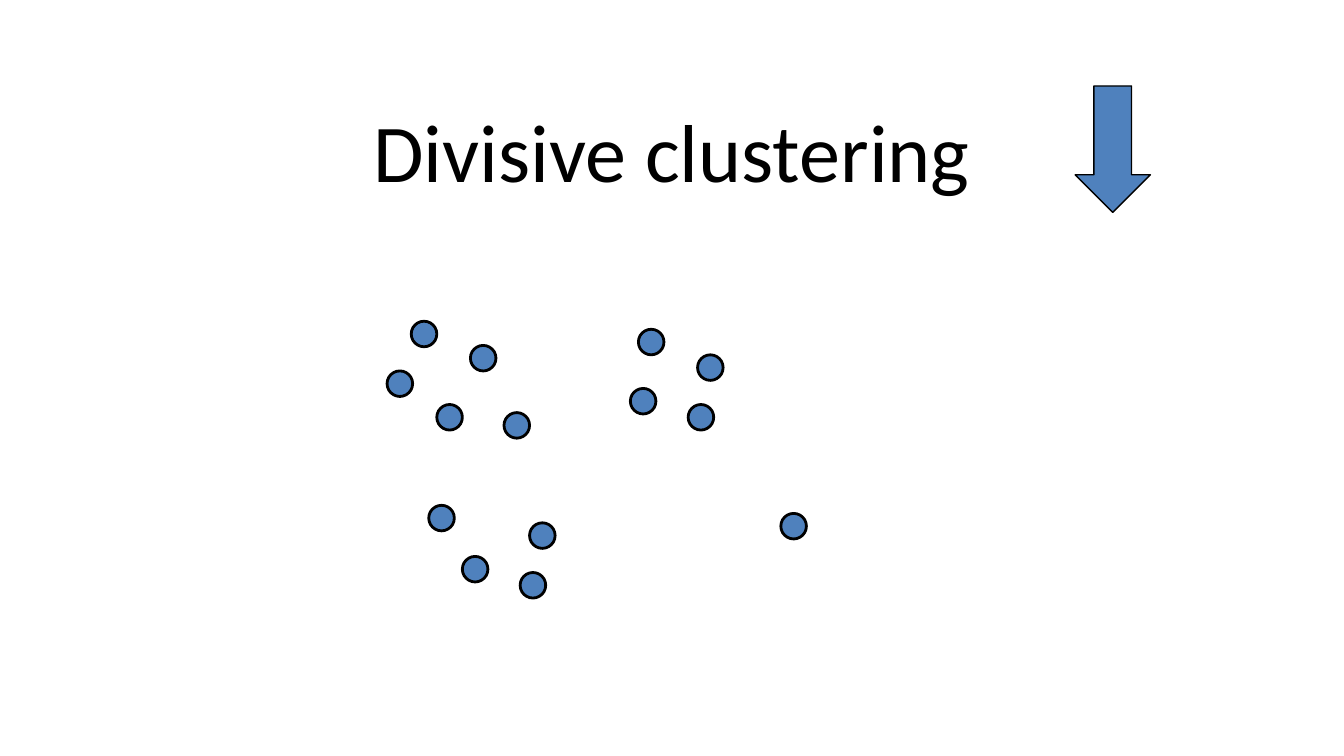
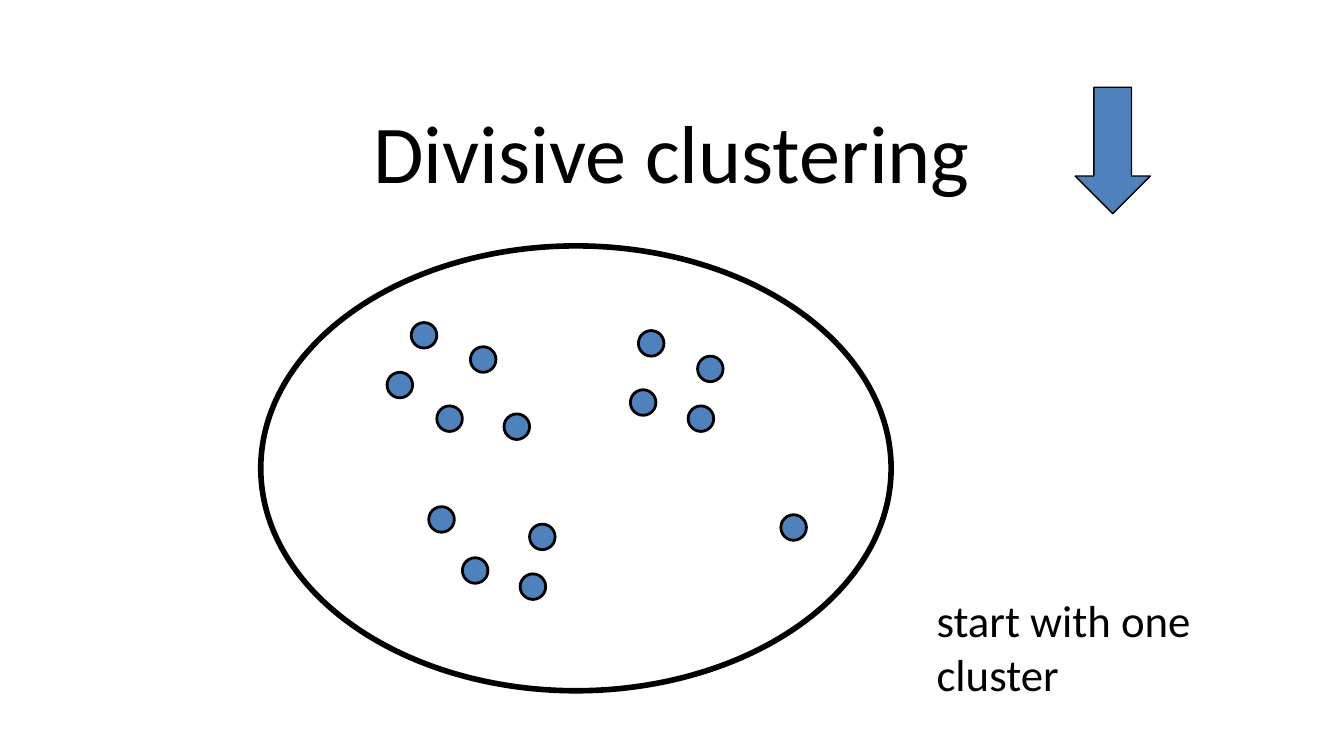
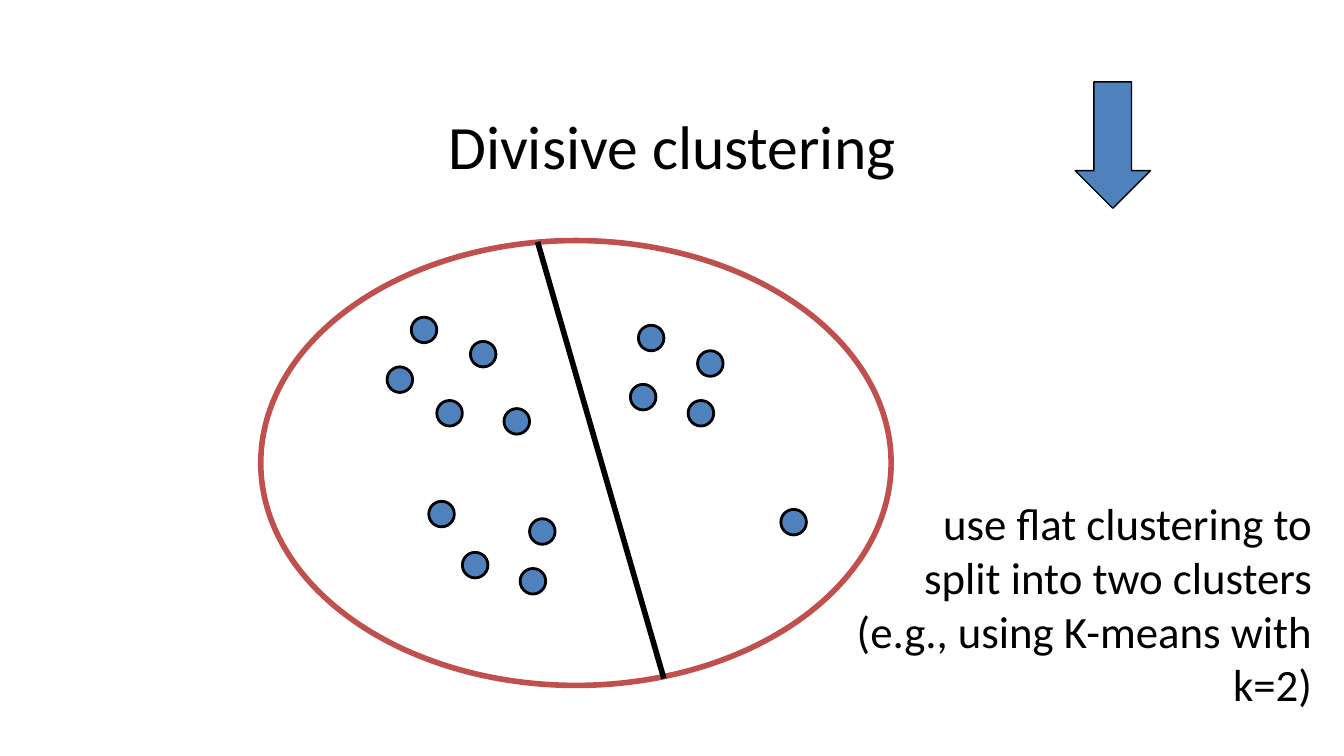
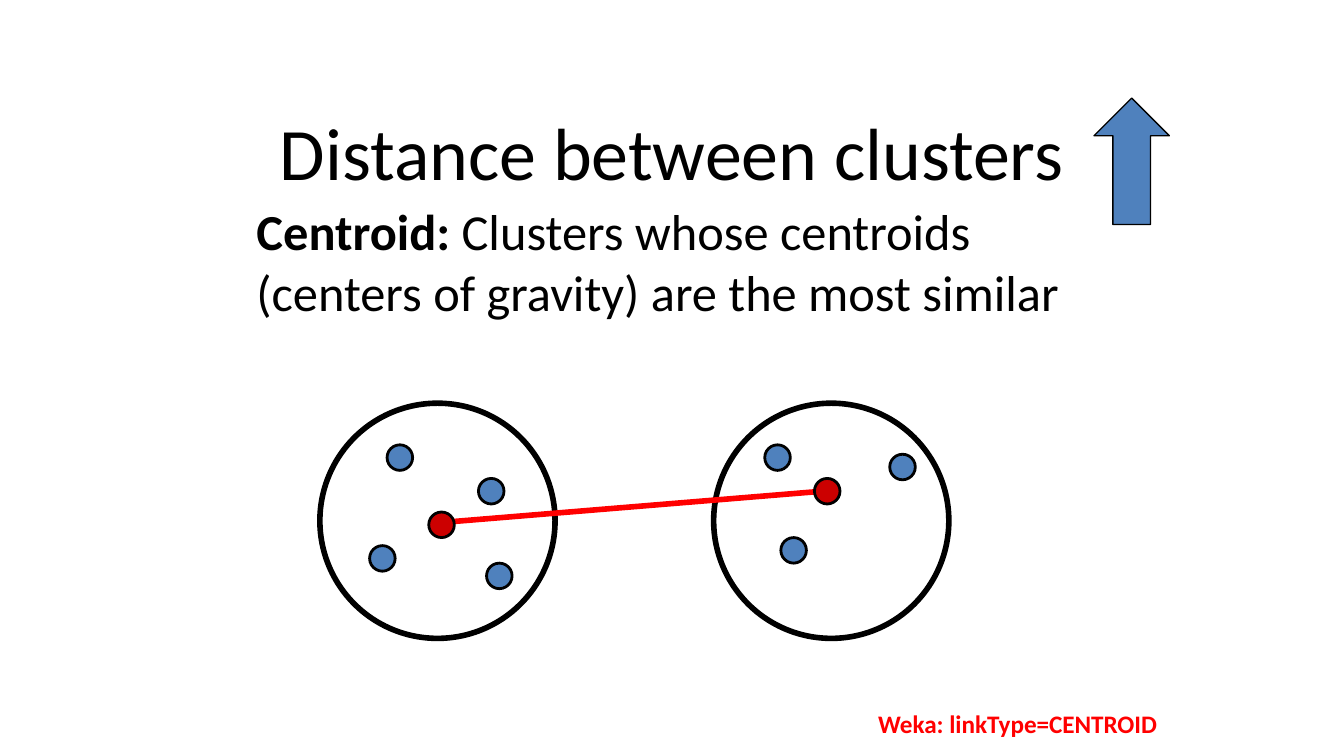
from lxml import etree
from pptx import Presentation
from pptx.dml.color import RGBColor
from pptx.enum.shapes import MSO_CONNECTOR, MSO_SHAPE
from pptx.enum.text import MSO_ANCHOR, PP_ALIGN
from pptx.oxml.ns import qn
from pptx.util import Pt

PX = 9144
WIDTH = 1000
FONT = "Calibri"
BLACK = RGBColor(0x00, 0x00, 0x00)
BLUE = RGBColor(0x4F, 0x81, 0xBD)
BRICK = RGBColor(0xC0, 0x50, 0x4D)
RED = RGBColor(0xFF, 0x00, 0x00)
CRIMSON = RGBColor(0xCC, 0x00, 0x00)
OVAL, ARROW = MSO_SHAPE.OVAL, MSO_SHAPE.DOWN_ARROW
STRAIGHT = MSO_CONNECTOR.STRAIGHT
LEFT, MID, RIGHT = PP_ALIGN.LEFT, PP_ALIGN.CENTER, PP_ALIGN.RIGHT
TOP, CENTER = MSO_ANCHOR.TOP, MSO_ANCHOR.MIDDLE

DOT = 19
POINTS = [
    (306, 239), (288, 276), (325, 301), (350, 257), (375, 307),
    (469, 289), (475, 245), (519, 264), (512, 301), (581, 382),
    (344, 414), (319, 376), (394, 389), (387, 426),
]
SPLITS = [
    {"shift": 0, "size": 44},
    {"shift": 1, "size": 44, "ring": BLACK,
     "note": ("start with one cluster", (687, 436, 212, 91), LEFT)},
    {"shift": -3, "size": 33, "ring": BRICK, "cut": ((400, 180), (494, 505)),
     "note": ("use flat clustering to\nsplit into two clusters "
              "(e.g., using K-means with k=2)", (605, 364, 381, 172), RIGHT)},
]
MEMBERS = [(288, 331), (275, 406), (362, 419), (356, 356),
           (581, 400), (569, 331), (662, 338)]
RINGS = [(238, 300, 175, 175), (531, 300, 175, 175)]
MEANS = [(319, 381), (606, 356)]
LINK = ((338, 388), (606, 366))


def scale(nums):
    return [n * PX for n in nums]


def shape(slide, kind, box, fill, line, width):
    item = slide.shapes.add_shape(kind, *scale(box))
    item.shadow.inherit = False
    if fill is None:
        item.fill.background()
    else:
        item.fill.solid()
        item.fill.fore_color.rgb = fill
    item.line.color.rgb = line
    item.line.width = Pt(width)
    return item


def dots(slide, spots, fill=BLUE, shift=0):
    for x, y in spots:
        shape(slide, OVAL, (x, y + shift, DOT, DOT), fill, BLACK, 1.5)


def ring(slide, box, color=BLACK):
    shape(slide, OVAL, box, None, color, 3)


def arrow(slide, x, y):
    return shape(slide, ARROW, (x, y, 56, 94), BLUE, BLACK, 0.75)


def line(slide, ends, color):
    item = slide.shapes.add_connector(STRAIGHT, *scale(ends[0] + ends[1]))
    item.line.color.rgb = color
    item.line.width = Pt(3)
    etree.SubElement(item._element.spPr, qn("a:effectLst"))


def text(slide, words, box, size, align=LEFT, color=BLACK, bold=None, anchor=TOP):
    frame = slide.shapes.add_textbox(*scale(box)).text_frame
    frame.word_wrap = True
    frame.vertical_anchor = anchor
    para = frame.paragraphs[0]
    para.text = words
    para.alignment = align
    font = para.font
    font.name, font.size, font.bold = FONT, Pt(size), bold
    font.color.rgb = color
    return para


def title(slide, words, box, size):
    text(slide, words, box, size, MID, anchor=CENTER)


def split(slide, plan):
    shift = plan["shift"]
    title(slide, "Divisive clustering", (181, 64 + shift, 638, 94), plan["size"])
    dots(slide, POINTS, shift=shift)
    if "ring" in plan:
        ring(slide, (194, 182 + shift, 469, 331), plan["ring"])
    if "cut" in plan:
        line(slide, plan["cut"], BLACK)
    if "note" in plan:
        words, box, align = plan["note"]
        text(slide, words, box, 24, align)
    arrow(slide, 800, 64 + shift)


def measure(slide):
    title(slide, "Distance between clusters", (50, 77, 900, 70), 39.6)
    para = text(slide, "Centroid: ", (181, 144, 638, 100), 27)
    para.runs[0].font.bold = True
    para.add_run().text = ("Clusters whose centroids (centers of gravity) "
                           "are the most similar")
    dots(slide, MEMBERS)
    for box in RINGS:
        ring(slide, box)
    line(slide, LINK, RED)
    dots(slide, MEANS, CRIMSON)
    arrow(slide, 814, 73).rotation = 180
    text(slide, "Weka: linkType=CENTROID ", (525, 522, 350, 33), 13.5,
         RIGHT, RED, True)


def main():
    deck = Presentation()
    deck.slide_width = WIDTH * PX
    deck.slide_height = deck.slide_width * 9 // 16
    blank = deck.slide_layouts[6]
    for plan in SPLITS:
        split(deck.slides.add_slide(blank), plan)
    measure(deck.slides.add_slide(blank))
    deck.save("out.pptx")


if __name__ == "__main__":
    main()
